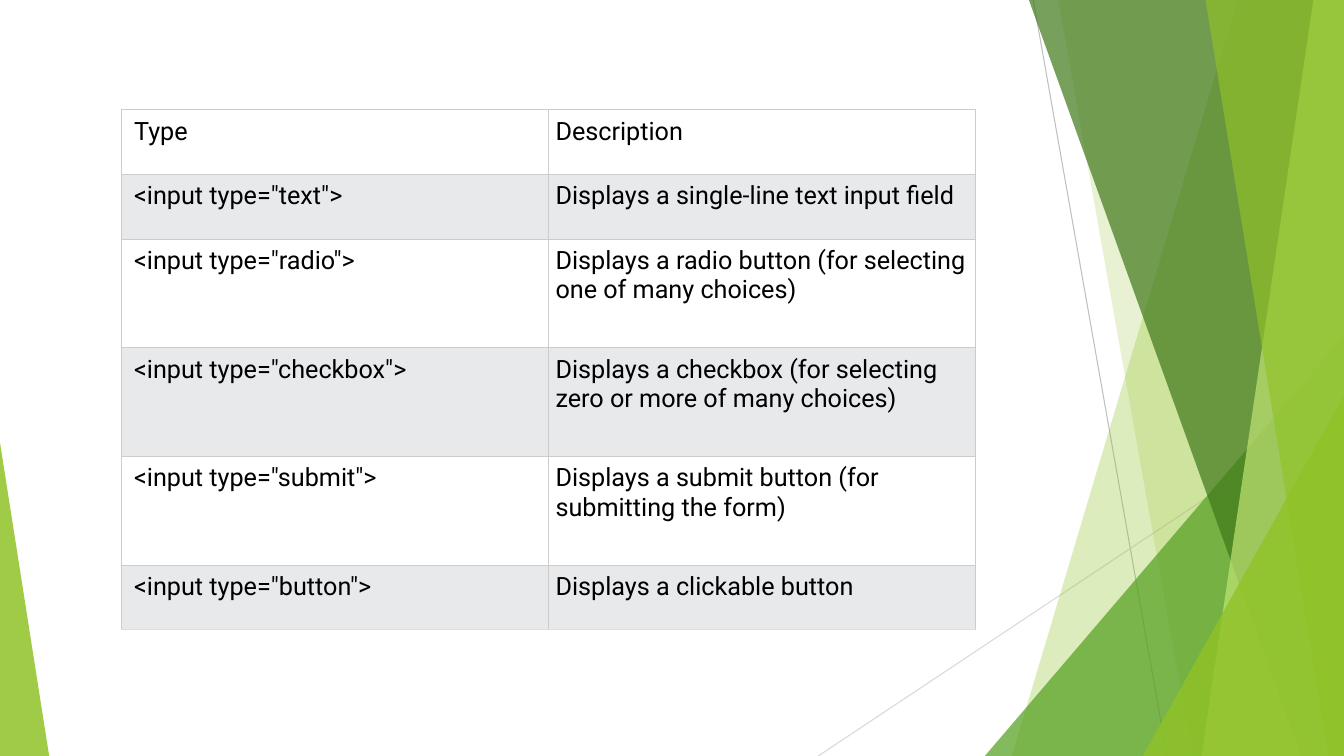
from dataclasses import dataclass

import pptx
import pptx.dml.color
import pptx.enum.shapes
import pptx.oxml
import pptx.oxml.ns
import pptx.util
from lxml import etree

Cm, Pt = pptx.util.Cm, pptx.util.Pt
qn = pptx.oxml.ns.qn


@dataclass(frozen=True)
class Theme:
    font: str = "Roboto"
    size: float = 18
    text: str = "000000"
    bands: tuple = ("FFFFFF", "E7E9EB")
    border: str = "CCCCCC"
    last_border: str = "DDDDDD"
    border_width: float = 0.6
    lime: str = "90C226"
    green: str = "54A021"
    forest: str = "3F7819"
    pale: str = "C0E474"
    dark_line: str = "BFBFBF"
    light_line: str = "D9D9D9"
    line_width: float = 0.75


THEME = Theme()
SLIDE_W, SLIDE_H = 33.87, 19.05

ROWS = [
    ("Type", "Description"),
    ('<input type="text">', "Displays a single-line text input field"),
    ('<input type="radio">', "Displays a radio button (for selecting one of many choices)"),
    ('<input type="checkbox">', "Displays a checkbox (for selecting zero or more of many choices)"),
    ('<input type="submit">', "Displays a submit button (for submitting the form)"),
    ('<input type="button">', "Displays a clickable button"),
]
ROW_HEIGHTS = [1.63, 1.63, 2.74, 2.74, 2.74, 1.63]


def rgb(value):
    return pptx.dml.color.RGBColor.from_string(value)


def set_all(obj, values):
    for name, value in values.items():
        setattr(obj, name, value)


def paint(sp, color, opacity):
    """Fill a shape without outline or shadow; opacity is in percent."""
    sp.shadow.inherit = False
    sp.line.fill.background()
    sp.fill.solid()
    sp.fill.fore_color.rgb = rgb(color)
    clr = sp._element.spPr.find(qn("a:solidFill")).find(qn("a:srgbClr"))
    etree.SubElement(clr, qn("a:alpha"), val=str(opacity * 1000))


def add_line(slide, start, end, color):
    line = slide.shapes.add_connector(
        pptx.enum.shapes.MSO_CONNECTOR.STRAIGHT, *map(Cm, (*start, *end)))
    line.line.color.rgb = rgb(color)
    line.line.width = Pt(THEME.line_width)
    etree.SubElement(line._element.spPr, qn("a:effectLst"))


def add_triangle(slide, box, apex, color, opacity):
    """Add a right triangle with its apex at the left (0) or right (1)."""
    sp = slide.shapes.add_shape(
        pptx.enum.shapes.MSO_SHAPE.ISOSCELES_TRIANGLE, *map(Cm, box))
    sp.adjustments[0] = apex
    paint(sp, color, opacity)


def add_facet(slide, box, top_x, bottom_x, color, opacity):
    """Fill the box from a slanted left edge to its right side."""
    left, top, width, height = box
    right, bottom = left + width, top + height
    builder = slide.shapes.build_freeform(Cm(left + top_x), Cm(top))
    corners = [(right, top), (right, bottom), (left + bottom_x, bottom)]
    builder.add_line_segments([(Cm(x), Cm(y)) for x, y in corners], close=True)
    paint(builder.convert_to_shape(), color, opacity)


def add_right_panel(slide, box):
    left, top, width, height = box
    right, bottom = left + width, top + height

    def corner(x, y, color, opacity):
        add_triangle(slide, (left + x, top + y, width - x, height - y), 1, color, opacity)

    add_line(slide, (left + 5.42, top), (left + 8.79, bottom), THEME.dark_line)
    add_line(slide, (right, top + 10.24), (left, bottom), THEME.light_line)
    add_facet(slide, box, 10.57, 4.88, THEME.lime, 30)
    add_facet(slide, box, 6.05, 9.43, THEME.lime, 20)
    corner(4.2, 8.46, THEME.green, 72)
    add_facet(slide, box, 5.31, 12.17, THEME.forest, 70)
    add_facet(slide, box, 12.48, 9.66, THEME.pale, 70)
    add_facet(slide, box, 9.76, 12.86, THEME.lime, 65)
    corner(8.18, 9.98, THEME.lime, 80)


def set_borders(cell, bottom_color):
    tc_pr = cell._tc.get_or_add_tcPr()
    for side in "LRTB":
        ln = etree.SubElement(tc_pr, qn(f"a:ln{side}"), w=str(Pt(THEME.border_width)))
        fill = etree.SubElement(ln, qn("a:solidFill"))
        color = bottom_color if side == "B" else THEME.border
        etree.SubElement(fill, qn("a:srgbClr"), val=color)


def fill_cell(cell, text, left_margin, band, bottom_color):
    set_all(cell, {"margin_left": Cm(left_margin), "margin_right": Cm(0.18),
                   "margin_top": Cm(0.18), "margin_bottom": Cm(0.18)})
    set_borders(cell, bottom_color)
    cell.fill.solid()
    cell.fill.fore_color.rgb = rgb(band)
    r = cell.text_frame.paragraphs[0].add_run()
    r.text = text
    set_all(r.font, {"name": THEME.font, "size": Pt(THEME.size), "bold": False})
    r.font.color.rgb = rgb(THEME.text)


def add_input_table(slide, box):
    table = slide.shapes.add_table(len(ROWS), 2, *map(Cm, box)).table
    set_all(table, {"first_row": False, "horz_banding": False})
    for column in table.columns:
        column.width = Cm(box[2] / 2)
    for i, (texts, height) in enumerate(zip(ROWS, ROW_HEIGHTS)):
        table.rows[i].height = Cm(height)
        bottom_color = THEME.last_border if i == len(ROWS) - 1 else THEME.border
        for j, (text, margin) in enumerate(zip(texts, (0.33, 0.18))):
            fill_cell(table.cell(i, j), text, margin, THEME.bands[i % 2], bottom_color)


def main():
    prs = pptx.Presentation()
    set_all(prs, {"slide_width": Cm(SLIDE_W), "slide_height": Cm(SLIDE_H)})
    slide = prs.slides.add_slide(prs.slide_layouts[6])
    add_right_panel(slide, (20.62, 0, SLIDE_W - 20.62, SLIDE_H))
    add_triangle(slide, (0, 11.15, 1.24, SLIDE_H - 11.15), 0, THEME.lime, 85)
    add_input_table(slide, (3.05, 2.76, 21.54, sum(ROW_HEIGHTS)))
    prs.save("out.pptx")


if __name__ == "__main__":
    main()
